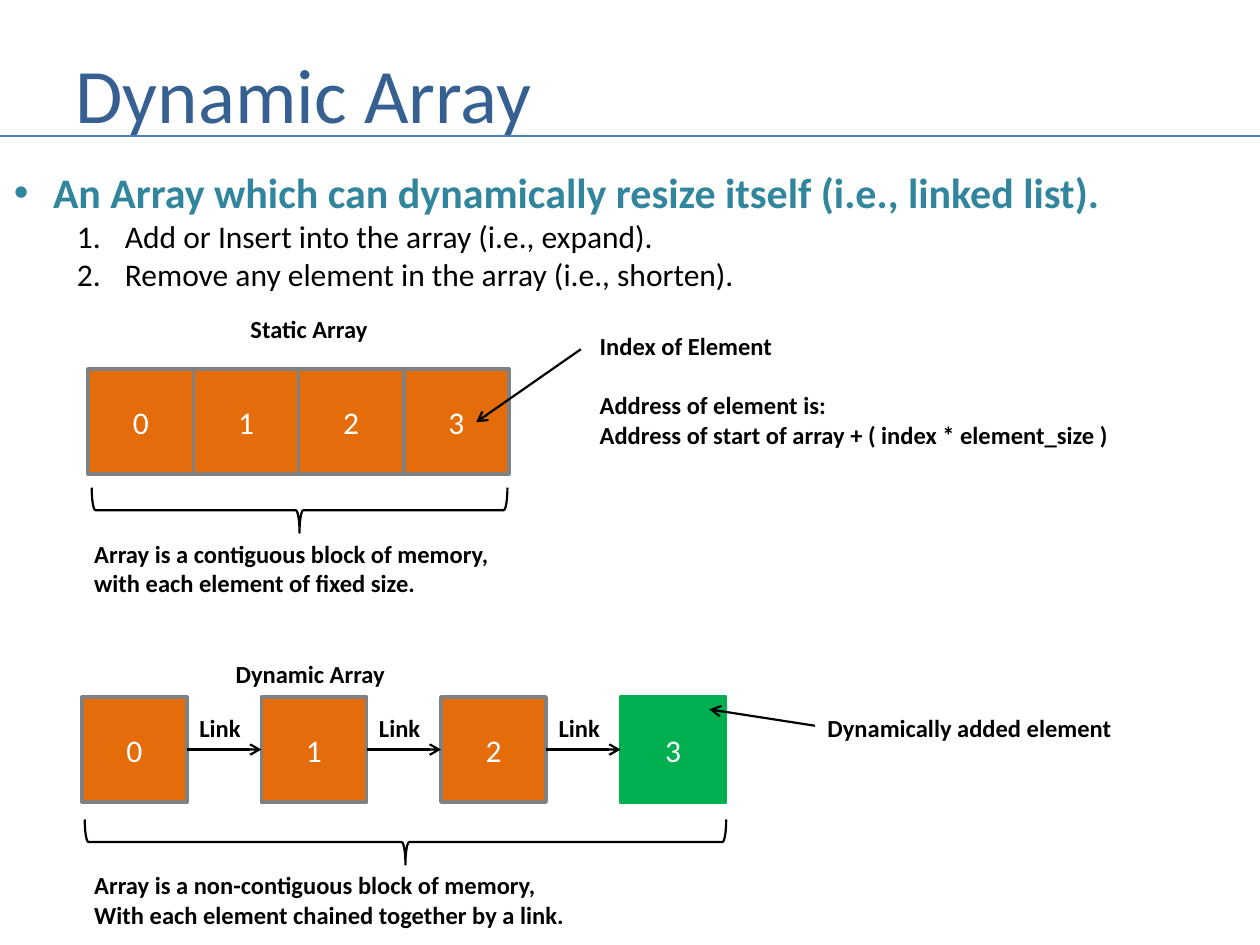
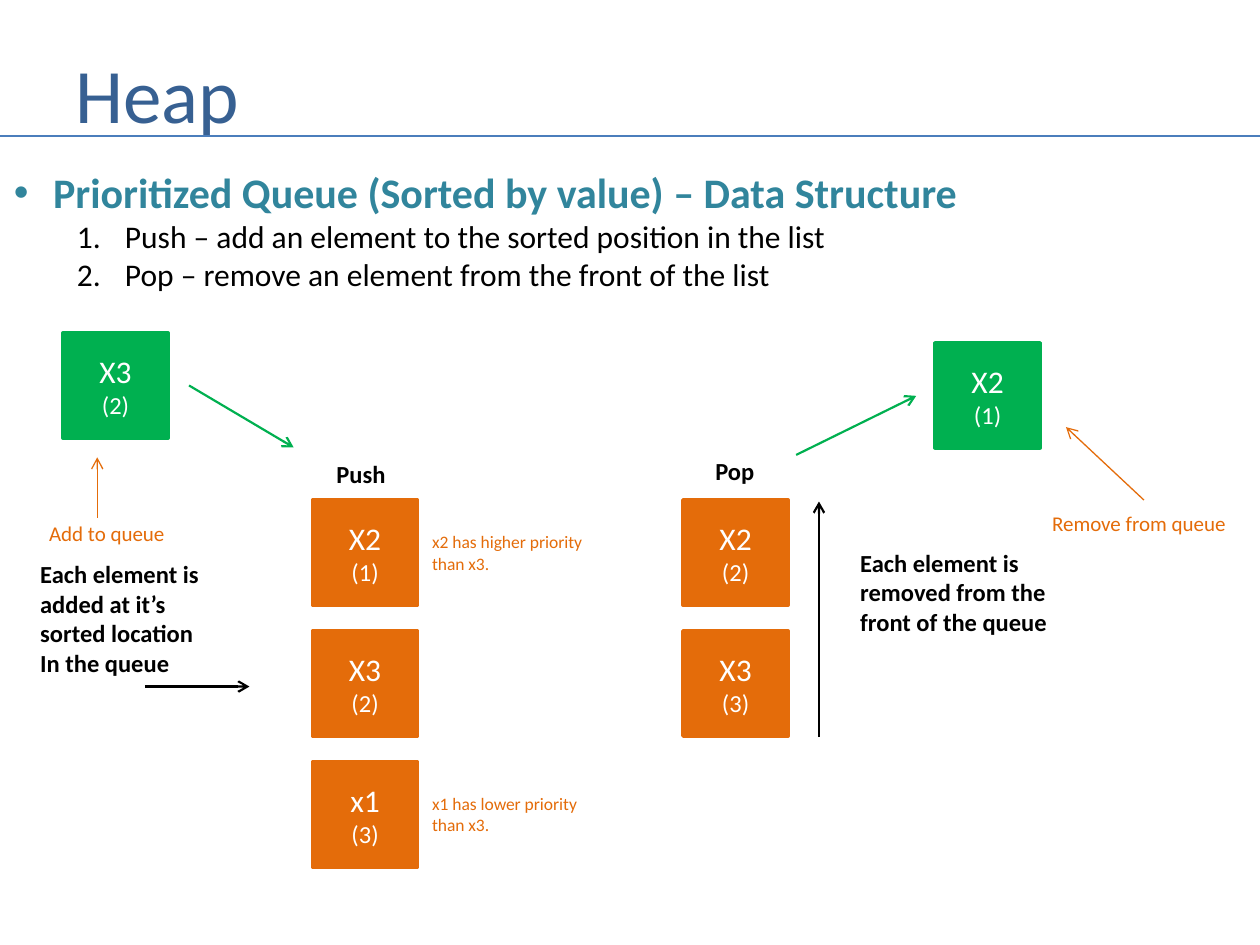
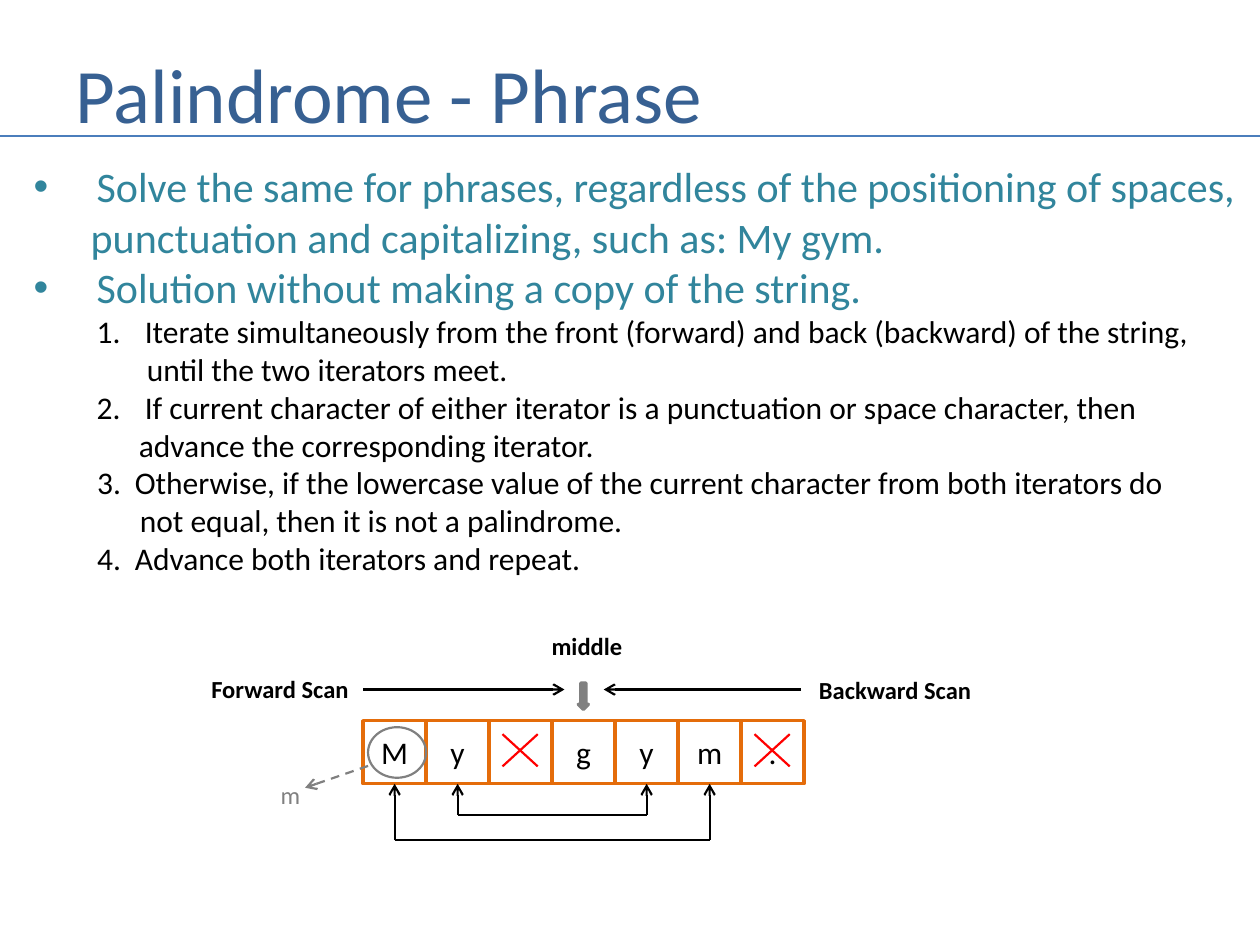
"""Build three slides on dynamic arrays, heaps and palindromes."""
from collections import namedtuple
from dataclasses import dataclass

from lxml import etree
from pptx import Presentation
from pptx.dml.color import RGBColor
from pptx.enum import dml, shapes, text
from pptx.oxml import ns
from pptx.util import Cm, Pt

FONT = "Calibri"
TITLE, RULE, TEAL = "376092", "4B7EBC", "31859C"
ORANGE, GREEN, GRAY, RED = "E46C0A", "00B050", "808080", "FF0000"
BLACK, WHITE = "000000", "FFFFFF"
SIDE = 2.12
QUEUE_PITCH = 2.64
LETTER = 1.27

Entry = namedtuple("Entry", "text margin hanging bullet size color bold level")


def rgb(color):
    """Turn a hex string into a colour."""
    return RGBColor.from_string(color)


def set_font(font, size, color, bold=False):
    """Format a paragraph's or run's font."""
    font.name, font.size, font.bold = FONT, Pt(size), bold
    font.color.rgb = rgb(color)


def add_child(parent, tag, **attributes):
    """Append a DrawingML element."""
    return etree.SubElement(parent, ns.qn(tag), attributes)


def headline(words, margin=0.79, hanging=0.79, bullet="•", bold=True):
    """Describe a teal top-level line."""
    return Entry(words, margin, hanging, bullet, 24, TEAL, bold, 0)


def step(words, number=None, margin=2.24, hanging=0.97):
    """Describe a black second-level line, numbered if a number is given."""
    return Entry(words, margin, hanging if number else 0, number, 18, BLACK, False, 1)


@dataclass
class Region:
    """A part of a slide whose contents are placed from its top left corner."""
    slide: object
    left: float
    top: float

    def place(self, x, y):
        """Give the slide position of a point in the region."""
        return Cm(self.left + x), Cm(self.top + y)

    def label(self, lines, x, y, width, height=0.86, size=14, color=BLACK, bold=True):
        """Add an unwrapped text box with one paragraph per line."""
        box = self.slide.shapes.add_textbox(*self.place(x, y), Cm(width), Cm(height))
        frame = box.text_frame
        frame.text = lines
        frame.word_wrap = False
        frame.auto_size = text.MSO_AUTO_SIZE.SHAPE_TO_FIT_TEXT
        for paragraph in frame.paragraphs:
            set_font(paragraph.font, size, color, bold)
        return frame

    def shape(self, kind, x, y, width, height, fill=None, line=BLACK, weight=2):
        """Add a preset shape without shadow."""
        shape = self.slide.shapes.add_shape(kind, *self.place(x, y), Cm(width), Cm(height))
        shape.shadow.inherit = False
        if fill:
            shape.fill.solid()
            shape.fill.fore_color.rgb = rgb(fill)
        else:
            shape.fill.background()
        shape.line.color.rgb = rgb(line)
        shape.line.width = Pt(weight)
        return shape

    def cell(self, value, x, y, fill=ORANGE, line=ORANGE, color=WHITE, side=SIDE, priority=None):
        """Add a square with a centred value and an optional priority below it."""
        cell = self.shape(shapes.MSO_SHAPE.RECTANGLE, x, y, side, side, fill, line)
        frame = cell.text_frame
        frame.vertical_anchor = text.MSO_ANCHOR.MIDDLE
        paragraph = frame.paragraphs[0]
        paragraph.alignment = text.PP_ALIGN.CENTER
        set_font(paragraph.font, 18, color)
        if value:
            paragraph.add_run().text = value
        if priority:
            paragraph.add_line_break()
            run = paragraph.add_run()
            run.text = f"({priority})"
            run.font.size = Pt(14)
        return cell

    def line(self, start, end, color=BLACK, weight=1.25, arrow=False, dashed=False):
        """Add a straight connector, with an arrowhead at its end if asked."""
        connector = self.slide.shapes.add_connector(
            shapes.MSO_CONNECTOR.STRAIGHT, *self.place(*start), *self.place(*end))
        connector.line.color.rgb = rgb(color)
        connector.line.width = Pt(weight)
        if dashed:
            connector.line.dash_style = dml.MSO_LINE.DASH
        if arrow:
            add_child(connector.line._get_or_add_ln(), "a:tailEnd", type="arrow")
        add_child(connector._element.spPr, "a:effectLst")
        return connector

    def arrow(self, start, end, color=BLACK, weight=1.25, dashed=False):
        """Add a connector with an arrowhead."""
        return self.line(start, end, color, weight, True, dashed)

    def brace(self, x, y, width, height=0.91):
        """Add a brace that opens upwards and fills the given box."""
        shift = (width - height) / 2
        brace = self.shape(shapes.MSO_SHAPE.LEFT_BRACE, x + shift, y - shift,
                           height, width, weight=1.25)
        brace.rotation = 270


def add_titled_slide(presentation, title):
    """Add a slide with the shared title style and rule."""
    slide = presentation.slides.add_slide(presentation.slide_layouts[5])
    shape = slide.shapes.title
    shape.left, shape.top, shape.width, shape.height = Cm(1.27), Cm(0.76), Cm(23.06), Cm(2.21)
    shape.text_frame.text = title
    shape.text_frame.vertical_anchor = text.MSO_ANCHOR.MIDDLE
    paragraph = shape.text_frame.paragraphs[0]
    paragraph.alignment = text.PP_ALIGN.LEFT
    set_font(paragraph.font, 44, TITLE)
    Region(slide, 0, 2.74).line((0, 0), (25.4, 0), RULE, 1.5)
    return slide


def add_body(slide, entries, left, top, width, height):
    """Add the bulleted and numbered text under the title."""
    box = slide.shapes.add_textbox(Cm(left), Cm(top), Cm(width), Cm(height))
    frame = box.text_frame
    frame.word_wrap = True
    frame.text = "\n".join(entry.text for entry in entries)
    for paragraph, entry in zip(frame.paragraphs, entries):
        paragraph.level = entry.level
        set_font(paragraph.font, entry.size, entry.color, entry.bold)
        properties = paragraph._p.get_or_add_pPr()
        properties.set("marL", str(Cm(entry.margin)))
        properties.set("indent", str(-Cm(entry.hanging)))
        bullet = []
        if entry.bullet == "•":
            bullet = [("a:buFont", {"typeface": "Arial"}), ("a:buChar", {"char": "•"})]
        elif entry.bullet:
            bullet = [("a:buFont", {"typeface": "+mj-lt"}),
                      ("a:buAutoNum", {"type": "arabicPeriod", "startAt": str(entry.bullet)})]
        for position, (tag, attributes) in enumerate(bullet):
            element = etree.Element(ns.qn(tag), attributes)
            properties.insert(position, element)


def add_summary(slide, statement, steps):
    """Add a bold statement followed by numbered steps."""
    entries = [headline(statement)]
    entries += [step(words, number) for number, words in enumerate(steps, 1)]
    add_body(slide, entries, 0.03, 3.23, 25.37, 2.82)


def add_static_array(slide, left, top):
    """Draw the contiguous array with its notes."""
    region = Region(slide, left, top)
    region.label("Static Array", 3.15, 0, 2.9)
    for index in range(4):
        region.cell(str(index), 0.13 + index * SIDE, 1.24, line=GRAY)
    region.brace(0.2, 3.63, 8.38)
    region.label("Array is a contiguous block of memory,\nwith each element of fixed size.",
                 0, 4.54, 8.51, 1.45)
    region.arrow((10.06, 0.84), (7.95, 2.31))
    frame = region.label(
        "Index of Element\nAddress of element is:\n"
        "Address of start of array + ( index * element_size )", 10.19, 0.35, 10.82, 2.64)
    frame.paragraphs[1].space_before = Pt(17)


def add_dynamic_array(slide, left, top):
    """Draw the chained array with its links and notes."""
    region = Region(slide, left, top)
    pitch, row = 3.62, 0.89
    region.label("Dynamic Array", 2.85, 0, 3.56)
    cells = [region.cell(str(index), index * pitch, row, line=GRAY) for index in range(3)]
    cells.append(region.cell("3", 3 * pitch, row, GREEN, GREEN))
    for index, (source, target) in enumerate(zip(cells, cells[1:])):
        start, middle = index * pitch + SIDE, row + SIDE / 2
        link = region.arrow((start, middle), (start + pitch - SIDE, middle))
        link.begin_connect(source, 3)
        link.end_connect(target, 1)
        region.label("Link", start, 1.09, 1.35)
    region.arrow((14.78, 1.47), (12.65, 1.14))
    region.label("Dynamically added element", 14.78, 1.09, 6.27)
    region.brace(0.06, 3.36, 12.93)
    region.label("Array is a non-contiguous block of memory,\n"
                 "With each element chained together by a link.", 0, 4.26, 10.03, 1.45)


def add_queue(region, names, first, x, y):
    """Stack queue elements with rising priority numbers."""
    for index, name in enumerate(names):
        region.cell(name, x, y + index * QUEUE_PITCH, priority=first + index)


def add_push(slide, left, top):
    """Draw an element being pushed into the queue."""
    region = Region(slide, left, top)
    region.cell("X3", 0.71, 0, GREEN, GREEN, priority=2)
    region.arrow((3.25, 1.06), (5.36, 2.31), GREEN)
    region.label("Push", 5.97, 2.41, 1.52)
    add_queue(region, ["X2", "X3", "x1"], 1, 5.74, 3.37)
    for row, words in ((0, "x2 has higher priority"), (2, "x1 has lower priority")):
        region.label(f"{words}\nthan x3.", 7.9, 3.88 + row * QUEUE_PITCH,
                     3.53, 1.12, 10, ORANGE, False)
    region.arrow((1.4, 3.73), (1.4, 2.51), ORANGE, 0.75)
    region.label("Add to queue", 0.18, 3.65, 2.87, 0.76, 12, ORANGE, False)
    region.label("Each element is\nadded at it’s\nsorted location\nIn the queue",
                 0, 4.44, 3.73, 2.64)
    region.arrow((2.36, 7.13), (4.47, 7.13))


def add_pop(slide, left, top):
    """Draw an element being popped from the queue."""
    region = Region(slide, left, top)
    region.cell("X2", 5.08, 0, GREEN, GREEN, priority=1)
    region.arrow((2.28, 2.26), (4.7, 1.07), GREEN)
    region.label("Pop", 0.4, 2.16, 1.3)
    add_queue(region, ["X2", "X3"], 2, 0, 3.17)
    region.arrow((2.74, 7.95), (2.74, 3.2))
    region.label("Each element is\nremoved from the\nfront of the queue", 3.32, 4.01, 4.39, 2.06)
    region.arrow((9.29, 3.17), (7.72, 1.7), ORANGE, 0.75)
    region.label("Remove from queue", 7.19, 3.25, 4.04, 0.76, 12, ORANGE, False)


def add_scan(slide, left, top):
    """Draw the letters of the phrase and the two scans."""
    region = Region(slide, left, top)
    first, row = 3.31, 1.93
    bottom = row + LETTER
    letters = ["M", "y", "", "g", "y", "m", "."]
    cells = [region.cell(letter, first + index * LETTER, row, None, ORANGE, BLACK, LETTER)
             for index, letter in enumerate(letters)]
    region.label("middle", 6.86, 0, 1.96)
    region.label("Forward Scan", 0, 0.86, 3.3)
    region.label("Backward Scan", 12.25, 0.89, 3.61)
    region.arrow((first, 1.3), (7.37, 1.3))
    region.arrow((12.14, 1.3), (8.16, 1.3))
    region.shape(shapes.MSO_SHAPE.DOWN_ARROW, 7.65, 1.17, 0.2, 0.53, GRAY, GRAY)
    for pair, depth in (((1, 4), 3.83), ((0, 5), 4.34)):
        centers = [first + (index + 0.5) * LETTER for index in pair]
        region.line((centers[0], depth), (centers[1], depth))
        for index, center in zip(pair, centers):
            region.arrow((center, depth), (center, bottom)).end_connect(cells[index], 2)
    for index in (2, 6):
        near, far = (first + index * LETTER + inset for inset in (0.27, 0.98))
        region.line((near, row + 0.27), (far, row + 0.92), RED)
        region.line((near, row + 0.92), (far, row + 0.27), RED)
    region.shape(shapes.MSO_SHAPE.OVAL, 3.41, 2.06, 1.17, 1.02, None, GRAY, 1.25)
    region.arrow((3.41, 2.84), (2.14, 3.28), GRAY, dashed=True)
    region.label("m", 1.4, 3, 0.91, color=GRAY, bold=False)


def build_array_slide(presentation):
    """Compare static and dynamic arrays."""
    slide = add_titled_slide(presentation, "Dynamic Array")
    add_summary(slide, "An Array which can dynamically resize itself (i.e., linked list).",
                ["Add or Insert into the array (i.e., expand).",
                 "Remove any element in the array (i.e., shorten)."])
    add_static_array(slide, 1.65, 6.2)
    add_dynamic_array(slide, 1.65, 13.16)


def build_heap_slide(presentation):
    """Explain push and pop on a heap."""
    slide = add_titled_slide(presentation, "Heap")
    add_summary(slide, "Prioritized Queue (Sorted by value) – Data Structure",
                ["Push – add an element to the sorted position in the list",
                 "Pop – remove an element from the front of the list"])
    add_push(slide, 0.56, 6.71)
    add_pop(slide, 13.77, 6.91)


def build_palindrome_slide(presentation):
    """Explain the palindrome test for phrases."""
    slide = add_titled_slide(presentation, "Palindrome - Phrase")
    add_body(slide, [
        headline("Solve the same for phrases, regardless of the positioning of spaces,",
                 1.27, 1.27, bold=False),
        headline("punctuation and capitalizing, such as: My gym.", 1.15, 0, None, False),
        headline("Solution without making a copy of the string.", 1.27, 1.27, bold=False),
        step("Iterate simultaneously from the front (forward) and back (backward) of the string,", 1),
        step("until the two iterators meet.", margin=2.28),
        step("If current character of either iterator is a punctuation or space character, then", 2),
        step("advance the corresponding iterator.", margin=2.12),
        step("Otherwise, if the lowercase value of the current character from both iterators do",
             3, 2.04, 0.76),
        step("not equal, then it is not a palindrome.", margin=2.14),
        step("Advance both iterators and repeat.", 4, 2.04, 0.76),
    ], 0.43, 3.12, 25.17, 8.71)
    add_scan(slide, 4.01, 12.6)


def main():
    """Build and save the presentation."""
    presentation = Presentation()
    presentation.slide_width, presentation.slide_height = Cm(25.4), Cm(19.05)
    build_array_slide(presentation)
    build_heap_slide(presentation)
    build_palindrome_slide(presentation)
    presentation.save("out.pptx")


if __name__ == "__main__":
    main()
